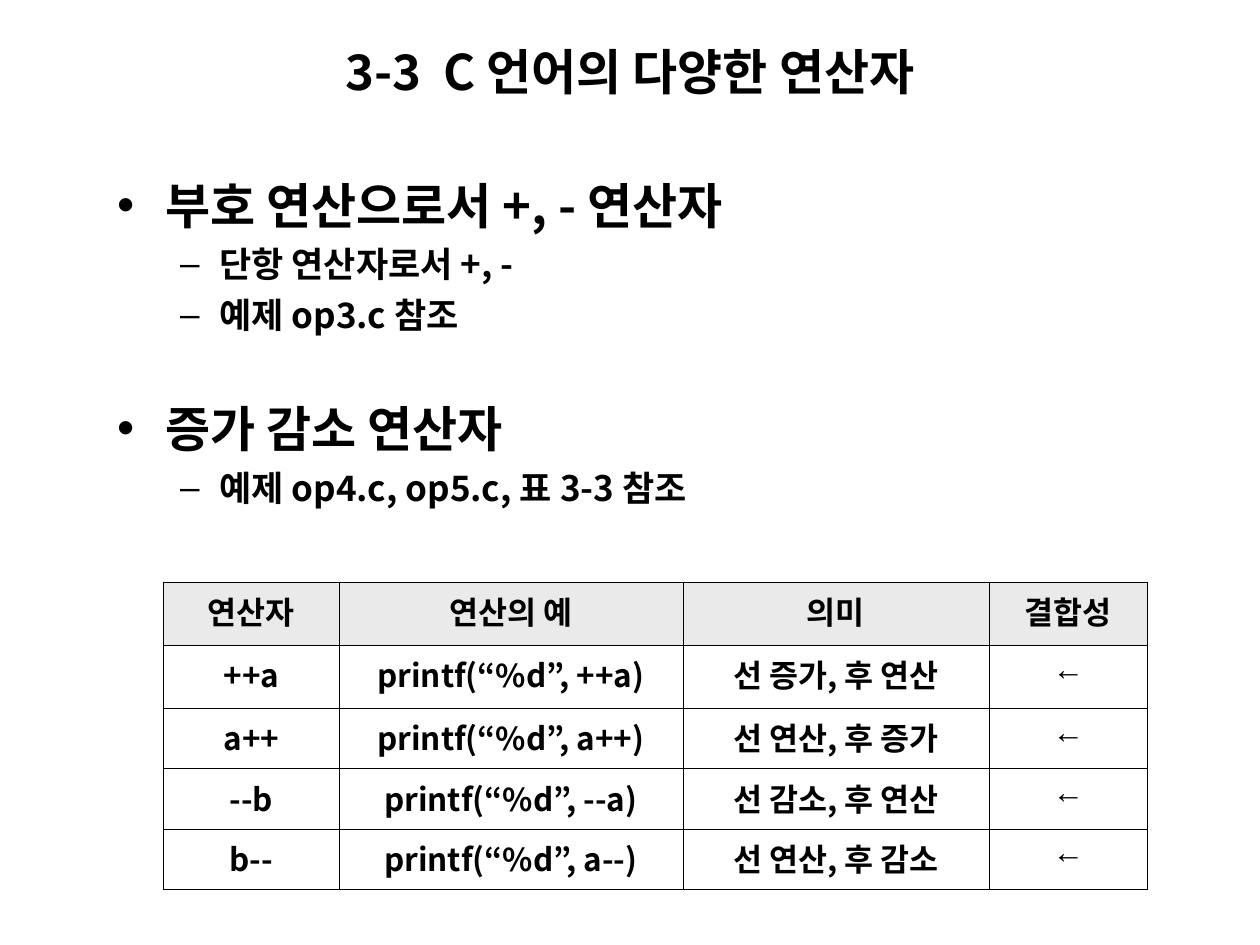
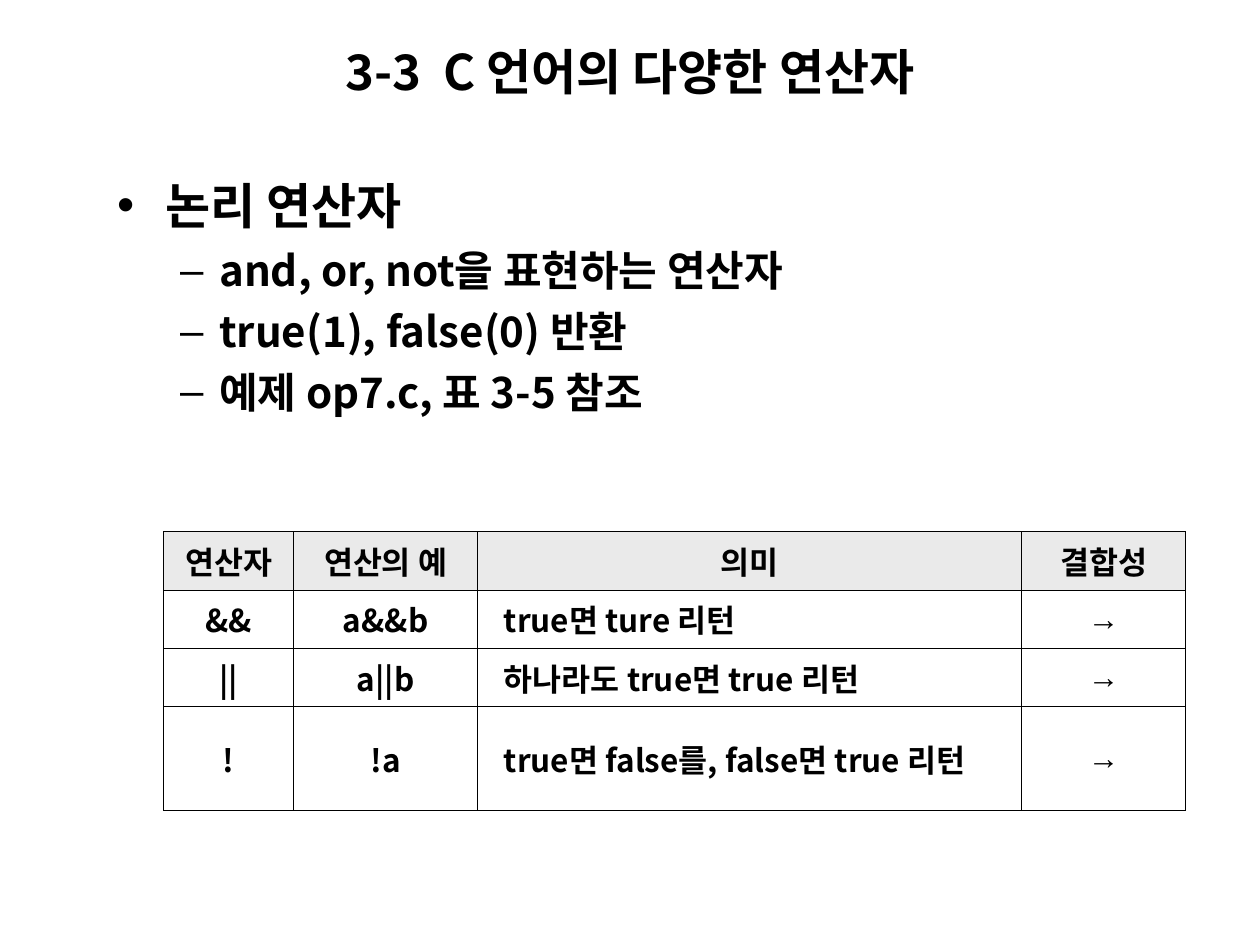
"""Build two slides on the operators of the C language."""
from dataclasses import dataclass

import pptx
import pptx.dml.color
import pptx.enum.text
import pptx.oxml
import pptx.oxml.ns
import pptx.util

Inches = pptx.util.Inches
Pt = pptx.util.Pt
ALIGN = pptx.enum.text.PP_ALIGN
ANCHOR = pptx.enum.text.MSO_ANCHOR
COLORS = {"text": "000000", "border": "000000", "header": "EAEAEA", "page": "FFFFFF"}
TEXT_FONT = "Noto Sans CJK KR"
ARROW_FONT = "Arial"
TITLE = "3-3\tC 언어의 다양한 연산자"
HEADINGS = ("연산자", "연산의 예", "의미", "결합성")
LEVEL_INDENTS = ((0.38, -0.38), (0.81, -0.31))
OUTER_LINE, INNER_LINE = 0.75, 0.45


@dataclass(frozen=True)
class Bullet:
    text: str
    size: int
    level: int = 1
    before: float = 5


@dataclass(frozen=True)
class OperatorTable:
    top: float
    columns: tuple[float, ...]
    heights: tuple[float, ...]
    rows: tuple[tuple[str, ...], ...]
    anchor: ANCHOR
    left_aligned_meaning: bool = False


@dataclass(frozen=True)
class Lesson:
    body_size: tuple[float, float]
    bullets: tuple[Bullet, ...]
    table: OperatorTable


LESSONS = (
    Lesson(
        (8.5, 3.13),
        (
            Bullet("부호 연산으로서 +, - 연산자", 28, 0, 0),
            Bullet("단항 연산자로서 +, -", 20),
            Bullet("예제 op3.c 참조", 20),
            Bullet("증가 감소 연산자", 28, 0, 36),
            Bullet("예제 op4.c, op5.c, 표 3-3 참조", 20),
        ),
        OperatorTable(
            4.62,
            (1.39, 2.73, 2.43, 1.26),
            (0.5, 0.5, 0.48, 0.48, 0.48),
            (
                ("++a", "printf(“%d”, ++a)", "선 증가, 후 연산", "←"),
                ("a++", "printf(“%d”, a++)", "선 연산, 후 증가", "←"),
                ("--b", "printf(“%d”, --a)", "선 감소, 후 연산", "←"),
                ("b--", "printf(“%d”, a--)", "선 연산, 후 감소", "←"),
            ),
            ANCHOR.TOP,
        ),
    ),
    Lesson(
        (6.22, 2.35),
        (
            Bullet("논리 연산자", 28, 0, 0),
            Bullet("and, or, not을 표현하는 연산자", 24, before=6),
            Bullet("true(1), false(0) 반환", 24, before=6),
            Bullet("예제 op7.c, 표 3-5 참조", 24, before=6),
        ),
        OperatorTable(
            4.22,
            (1.03, 1.46, 4.32, 1.3),
            (0.46, 0.46, 0.46, 0.82),
            (
                ("&&", "a&&b", "true면 ture 리턴", "→"),
                ("||", "a||b", "하나라도 true면 true 리턴", "→"),
                ("!", "!a", "true면 false를, false면 true 리턴", "→"),
            ),
            ANCHOR.MIDDLE,
            left_aligned_meaning=True,
        ),
    ),
)


def rgb(name: str) -> pptx.dml.color.RGBColor:
    return pptx.dml.color.RGBColor.from_string(COLORS[name])


def add_span(para, text: str, size: float, font: str = TEXT_FONT) -> None:
    span = para.add_run()
    span.text = text
    span.font.size = Pt(size)
    span.font.bold = True
    span.font.name = font
    span.font.color.rgb = rgb("text")
    east_asian = pptx.oxml.parse_xml(
        f'<a:ea {pptx.oxml.ns.nsdecls("a")} typeface="{font}"/>'
    )
    span.font._element.find(pptx.oxml.ns.qn("a:latin")).addnext(east_asian)


def set_indent(para, left: float, first: float) -> None:
    properties = para._p.get_or_add_pPr()
    properties.set("marL", str(Inches(left)))
    properties.set("indent", str(Inches(first)))


def place(box, left: float, top: float, width: float, height: float) -> None:
    box.left, box.top = Inches(left), Inches(top)
    box.width, box.height = Inches(width), Inches(height)
    box.text_frame.auto_size = pptx.enum.text.MSO_AUTO_SIZE.NONE


def add_title(page) -> None:
    box = page.shapes.title
    place(box, 2.64, 0.28, 5.51, 0.57)
    box.text_frame.vertical_anchor = ANCHOR.MIDDLE
    para = box.text_frame.paragraphs[0]
    para.alignment = ALIGN.LEFT
    para._p.get_or_add_pPr().append(pptx.oxml.parse_xml(
        f'<a:tabLst {pptx.oxml.ns.nsdecls("a")}>'
        f'<a:tab pos="{Inches(0.78)}" algn="l"/></a:tabLst>'
    ))
    add_span(para, TITLE, 28)


def add_bullets(page, lesson: Lesson) -> None:
    box = page.placeholders[1]
    place(box, 0.83, 1.31, *lesson.body_size)
    frame = box.text_frame
    frame.margin_top = Inches(0.08)
    for index, bullet in enumerate(lesson.bullets):
        para = frame.add_paragraph() if index else frame.paragraphs[0]
        para.level = bullet.level
        para.line_spacing = 1.0
        para.space_before = Pt(bullet.before)
        set_indent(para, *LEVEL_INDENTS[bullet.level])
        add_span(para, bullet.text, bullet.size)


def set_borders(cell, outer_sides: dict[str, bool]) -> None:
    properties = cell._tc.get_or_add_tcPr()
    for side, is_outer in outer_sides.items():
        width = Pt(OUTER_LINE if is_outer else INNER_LINE)
        properties.append(pptx.oxml.parse_xml(
            f'<a:ln{side} {pptx.oxml.ns.nsdecls("a")} w="{width}"><a:solidFill>'
            f'<a:srgbClr val="{COLORS["border"]}"/></a:solidFill></a:ln{side}>'
        ))


def add_operator_table(page, design: OperatorTable) -> None:
    rows = (HEADINGS, *design.rows)
    last_row, last_column = len(rows) - 1, len(HEADINGS) - 1
    table = page.shapes.add_table(
        len(rows), len(HEADINGS), Inches(1.3), Inches(design.top),
        Inches(sum(design.columns)), Inches(sum(design.heights)),
    ).table
    table.first_row = table.horz_banding = False
    for column, width in zip(table.columns, design.columns):
        column.width = Inches(width)
    for row, height in zip(table.rows, design.heights):
        row.height = Inches(height)
    for y, texts in enumerate(rows):
        for x, text in enumerate(texts):
            cell = table.cell(y, x)
            set_borders(cell, {
                "L": x == 0, "R": x == last_column, "T": y == 0, "B": y == last_row,
            })
            if y == 0:
                cell.fill.solid()
                cell.fill.fore_color.rgb = rgb("header")
            else:
                cell.fill.background()
            cell.vertical_anchor = design.anchor
            para = cell.text_frame.paragraphs[0]
            para.alignment = ALIGN.CENTER
            if design.left_aligned_meaning and y > 0 and x == 2:
                para.alignment = ALIGN.LEFT
                set_indent(para, 0, 0.11)
            is_arrow = y > 0 and x == last_column
            add_span(para, text, 18, ARROW_FONT if is_arrow else TEXT_FONT)


def main() -> None:
    deck = pptx.Presentation()
    deck.slide_width, deck.slide_height = Inches(10), Inches(7.5)
    for lesson in LESSONS:
        page = deck.slides.add_slide(deck.slide_layouts[1])
        page.background.fill.solid()
        page.background.fill.fore_color.rgb = rgb("page")
        add_title(page)
        add_bullets(page, lesson)
        add_operator_table(page, lesson.table)
    deck.save("out.pptx")


if __name__ == "__main__":
    main()
